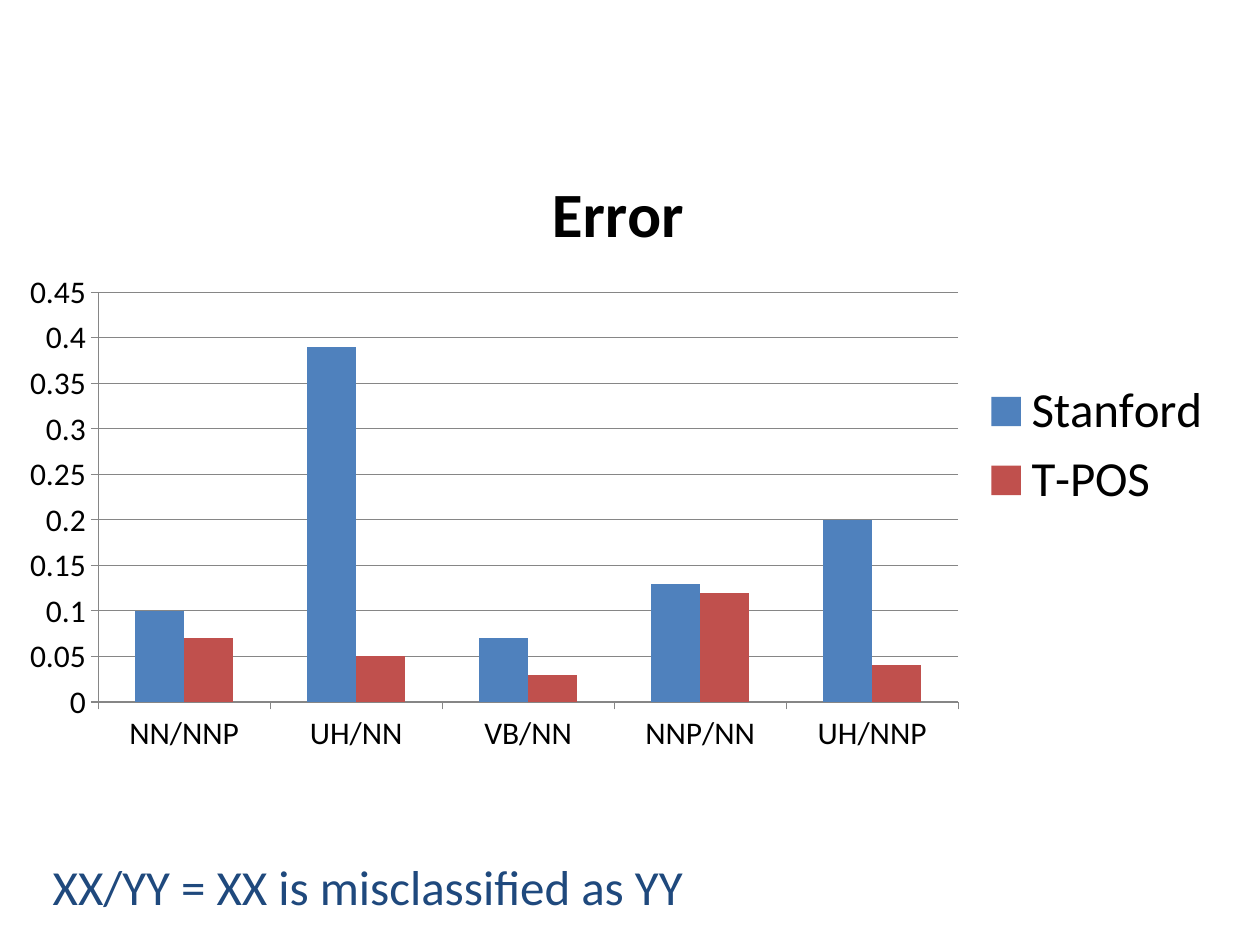
from lxml.etree import SubElement
from pptx import Presentation
from pptx.chart.data import CategoryChartData
from pptx.dml.color import RGBColor
from pptx.enum.chart import XL_CHART_TYPE, XL_LEGEND_POSITION, XL_TICK_MARK
from pptx.enum.text import MSO_AUTO_SIZE
from pptx.oxml import parse_xml
from pptx.oxml.ns import nsdecls, qn
from pptx.util import Inches, Pt

WIDE, HIGH = Inches(10), Inches(7.5)
FACE = "Calibri"
COLORS = {
    "text": "000000",
    "note": "1F497D",
    "axis": "868686",
    "Stanford": "4F81BD",
    "T-POS": "C0504D",
}
TAGS = ["NN/NNP", "UH/NN", "VB/NN", "NNP/NN", "UH/NNP"]
ERRORS = {
    "Stanford": [0.1, 0.39, 0.07, 0.13, 0.2],
    "T-POS": [0.07, 0.05, 0.03, 0.12, 0.04],
}


def color(name):
    return RGBColor.from_string(COLORS[name])


def style(font, size, name="text", bold=False):
    font.name, font.size, font.bold = FACE, Pt(size), bold
    font.color.rgb = color(name)


def share(left, top, width, height):
    return (round(WIDE * left), round(HIGH * top),
            round(WIDE * width), round(HIGH * height))


def arrange(node, **parts):
    layout = node.find(qn("c:layout"))
    if layout is None:
        layout = parse_xml(f"<c:layout {nsdecls('c')}/>")
        node.insert(0, layout)
    manual = SubElement(layout, qn("c:manualLayout"))
    for tag, value in parts.items():
        SubElement(manual, qn(f"c:{tag}")).set("val", str(value))


def draw_chart(slide, box):
    data = CategoryChartData()
    data.categories = TAGS
    for name, values in ERRORS.items():
        data.add_series(name, values)
    chart = slide.shapes.add_chart(XL_CHART_TYPE.COLUMN_CLUSTERED, *box, data).chart
    style(chart.font, 18)

    chart.has_title = True
    title = chart.chart_title
    run = title.text_frame.paragraphs[0].add_run()
    run.text = "Error"
    style(run.font, 36, bold=True)
    arrange(title._element, xMode="edge", yMode="edge", x=0.44, y=0.05)

    chart.has_legend = True
    chart.legend.position = XL_LEGEND_POSITION.RIGHT
    chart.legend.include_in_layout = False
    style(chart.legend.font, 28)

    plot = chart.plots[0]
    plot.gap_width, plot.overlap, plot.vary_by_categories = 150, 0, False
    for bars in plot.series:
        bars.format.fill.solid()
        bars.format.fill.fore_color.rgb = color(bars.name)
        bars.invert_if_negative = False

    scale = chart.value_axis
    scale.minimum_scale, scale.maximum_scale, scale.major_unit = 0, 0.45, 0.05
    scale.has_major_gridlines = True
    scale.tick_labels.number_format = "General"
    scale.tick_labels.number_format_is_linked = False
    for axis in (scale, chart.category_axis):
        axis.major_tick_mark = XL_TICK_MARK.OUTSIDE
        axis.minor_tick_mark = XL_TICK_MARK.NONE
        style(axis.tick_labels.font, 18)
    for part in (scale, chart.category_axis, scale.major_gridlines):
        part.format.line.color.rgb = color("axis")
        part.format.line.width = Pt(0.75)

    area = chart._chartSpace.find(".//" + qn("c:plotArea"))
    arrange(area, layoutTarget="inner", xMode="edge", yMode="edge",
            x=0.08, y=0.26, w=0.7, h=0.64)


def draw_note(slide, box):
    frame = slide.shapes.add_textbox(*box).text_frame
    frame.word_wrap = False
    frame.auto_size = MSO_AUTO_SIZE.SHAPE_TO_FIT_TEXT
    run = frame.paragraphs[0].add_run()
    run.text = "XX/YY = XX is misclassified as YY"
    style(run.font, 28, "note")


def main():
    deck = Presentation()
    deck.slide_width, deck.slide_height = WIDE, HIGH
    slide = deck.slides.add_slide(deck.slide_layouts[6])
    draw_chart(slide, share(0, 0.1333, 0.975, 0.6773))
    draw_note(slide, share(0.032, 0.9, 0.526, 0.076))
    deck.save("out.pptx")


if __name__ == "__main__":
    main()
